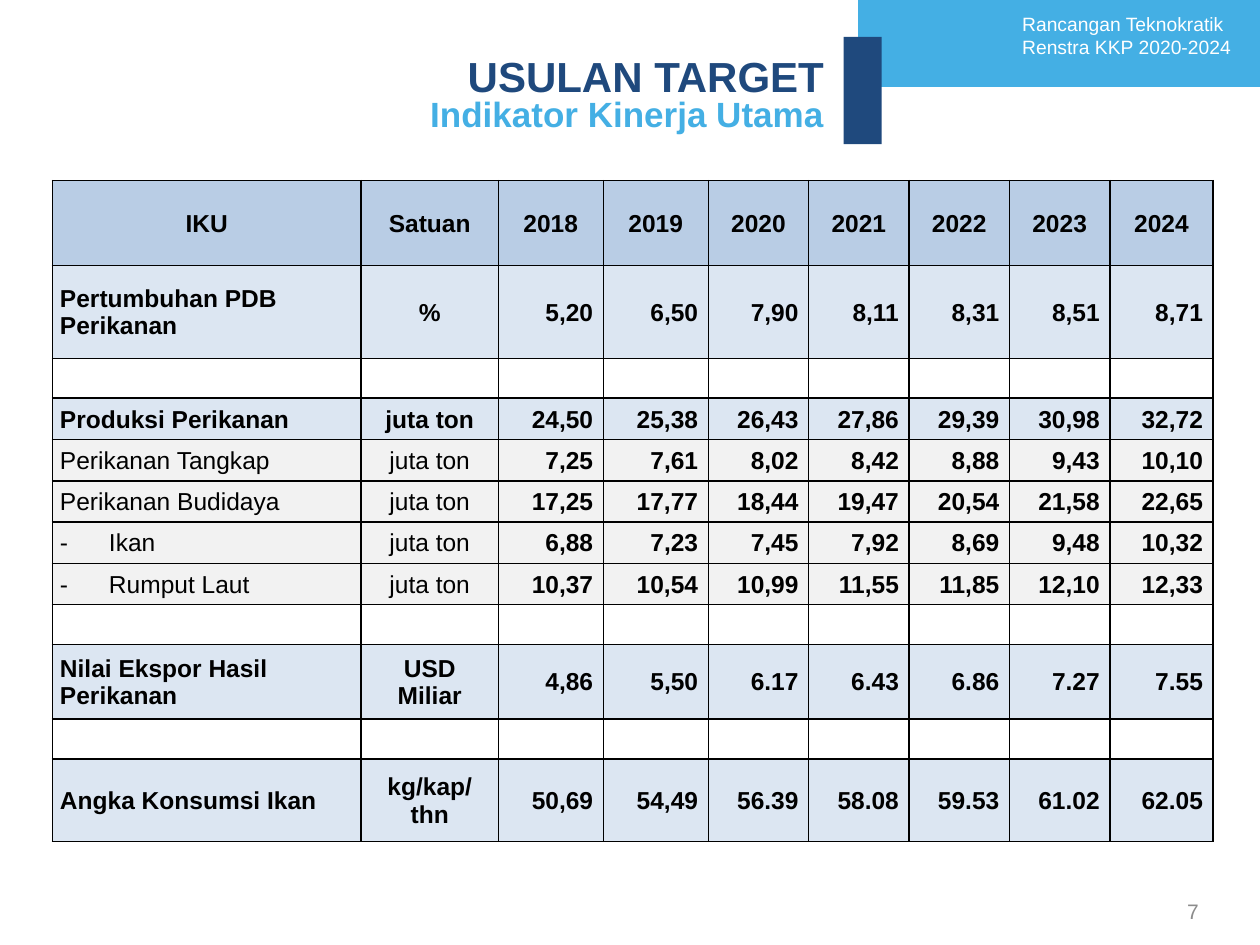
from lxml import etree
from pptx import Presentation
from pptx.dml.color import RGBColor
from pptx.enum import shapes, text
from pptx.oxml import ns
from pptx.util import Pt

COLORS = {
    "navy": "1F497D",
    "sky": "44AFE4",
    "header": "B9CDE5",
    "group": "DCE6F2",
    "detail": "F2F2F2",
    "white": "FFFFFF",
    "black": "000000",
    "gray": "8C8C8C",
}
LEFT, CENTER, RIGHT = text.PP_ALIGN.LEFT, text.PP_ALIGN.CENTER, text.PP_ALIGN.RIGHT
HANGING_INDENT = 28

COLUMN_WIDTHS = [176.4, 78.4, 60, 60] + [57.4] * 4 + [59]
HEADER = ["IKU", "Satuan"] + [str(year) for year in range(2018, 2025)]

# Each row: kind, height, indicator, unit, yearly values
ROWS = [
    ("header", 48.6, *HEADER),
    ("group", 53.1, "Pertumbuhan PDB Perikanan", "%",
     "5,20", "6,50", "7,90", "8,11", "8,31", "8,51", "8,71"),
    ("white", 22.2),
    ("group", 23.6, "Produksi Perikanan", "juta ton",
     "24,50", "25,38", "26,43", "27,86", "29,39", "30,98", "32,72"),
    ("detail", 23.6, "Perikanan Tangkap", "juta ton",
     "7,25", "7,61", "8,02", "8,42", "8,88", "9,43", "10,10"),
    ("detail", 23.6, "Perikanan Budidaya", "juta ton",
     "17,25", "17,77", "18,44", "19,47", "20,54", "21,58", "22,65"),
    ("detail", 23.6, "-\tIkan", "juta ton",
     "6,88", "7,23", "7,45", "7,92", "8,69", "9,48", "10,32"),
    ("detail", 23.6, "-\tRumput Laut", "juta ton",
     "10,37", "10,54", "10,99", "11,55", "11,85", "12,10", "12,33"),
    ("white", 22.2),
    ("group", 42.8, "Nilai Ekspor Hasil Perikanan", "USD Miliar",
     "4,86", "5,50", "6.17", "6.43", "6.86", "7.27", "7.55"),
    ("white", 22.2),
    ("group", 47.2, "Angka Konsumsi Ikan", "kg/kap/ thn",
     "50,69", "54,49", "56.39", "58.08", "59.53", "61.02", "62.05"),
]


def write(paragraph, content, *, size, color="black", bold=False, align=LEFT,
          spacing=None, font="Arial"):
    """Add one formatted run to a paragraph."""
    paragraph.alignment = align
    if spacing:
        paragraph.line_spacing = spacing
    run = paragraph.add_run()
    run.text = content
    run.font.name, run.font.size, run.font.bold = font, Pt(size), bold
    run.font.color.rgb = RGBColor.from_string(COLORS[color])


class SlideBuilder:
    def __init__(self, slide, text_size=14, border_width=1):
        self.slide = slide
        self.text_size = text_size
        self.border_width = border_width

    def title(self, box, lines):
        shape = self.slide.shapes.title
        shape.left, shape.top, shape.width, shape.height = map(Pt, box)
        frame = shape.text_frame
        frame.auto_size = text.MSO_AUTO_SIZE.NONE
        frame.vertical_anchor = text.MSO_ANCHOR.TOP
        for index, (content, style) in enumerate(lines):
            paragraph = frame.add_paragraph() if index else frame.paragraphs[0]
            write(paragraph, content, bold=True, align=RIGHT, spacing=0.8, **style)

    def rectangle(self, box, color):
        shape = self.slide.shapes.add_shape(
            shapes.MSO_SHAPE.RECTANGLE, *map(Pt, box))
        shape.shadow.inherit = False
        shape.fill.solid()
        shape.fill.fore_color.rgb = RGBColor.from_string(COLORS[color])
        shape.line.fill.background()

    def text_box(self, box, lines, anchor=text.MSO_ANCHOR.TOP, wrap=True, **style):
        frame = self.slide.shapes.add_textbox(*map(Pt, box)).text_frame
        frame.word_wrap = wrap
        frame.vertical_anchor = anchor
        for index, content in enumerate(lines):
            paragraph = frame.add_paragraph() if index else frame.paragraphs[0]
            write(paragraph, content, **style)

    def table(self, left, top, widths, rows):
        heights = [row[1] for row in rows]
        table = self.slide.shapes.add_table(
            len(rows), len(widths), Pt(left), Pt(top),
            Pt(sum(widths)), Pt(sum(heights))).table
        for column, width in zip(table.columns, widths):
            column.width = Pt(width)
        for row_index, (kind, height, *values) in enumerate(rows):
            table.rows[row_index].height = Pt(height)
            for column_index in range(len(widths)):
                value = values[column_index] if values else ""
                self.cell(table.cell(row_index, column_index), value, kind, column_index)

    def cell(self, cell, value, kind, column_index):
        is_value = kind != "header" and column_index > 1
        cell.margin_left = Pt(4.3)
        cell.margin_right = Pt(5.8 if is_value else 4.3)
        cell.margin_top, cell.margin_bottom = Pt(0.7), Pt(0)
        cell.vertical_anchor = text.MSO_ANCHOR.MIDDLE
        self.borders(cell)
        cell.fill.solid()
        cell.fill.fore_color.rgb = RGBColor.from_string(COLORS[kind])
        if not value:
            return
        if is_value:
            align = RIGHT
        else:
            align = LEFT if column_index == 0 and kind != "header" else CENTER
        paragraph = cell.text_frame.paragraphs[0]
        write(paragraph, value, size=self.text_size, align=align,
              bold=is_value or kind != "detail")
        if "\t" in value:
            properties = paragraph._p.get_or_add_pPr()
            properties.set("marL", str(Pt(HANGING_INDENT)))
            properties.set("indent", str(-Pt(HANGING_INDENT)))

    def borders(self, cell):
        properties = cell._tc.get_or_add_tcPr()
        for side in ("lnL", "lnR", "lnT", "lnB"):
            line = etree.SubElement(properties, ns.qn(f"a:{side}"),
                                    w=str(Pt(self.border_width)))
            fill = etree.SubElement(line, ns.qn("a:solidFill"))
            etree.SubElement(fill, ns.qn("a:srgbClr"), val=COLORS["black"])


def main():
    presentation = Presentation()
    presentation.slide_width, presentation.slide_height = Pt(720), Pt(540)
    title_only = presentation.slide_layouts[5]
    builder = SlideBuilder(presentation.slides.add_slide(title_only))

    # Indicator table
    builder.table(30, 103.2, COLUMN_WIDTHS, ROWS)

    # Title
    builder.title((57, 31, 421, 50), [
        ("USULAN TARGET", {"size": 24, "color": "navy"}),
        ("Indikator Kinerja Utama", {"size": 20, "color": "sky"}),
    ])

    # Corner banner
    builder.rectangle((490.3, 0, 229.7, 49.7), "sky")
    builder.rectangle((482, 21, 21.8, 61.3), "navy")
    builder.text_box((577, 3.6, 135, 34),
                     ["Rancangan Teknokratik", "Renstra KKP 2020-2024"],
                     wrap=False, size=11, color="white")

    # Slide number
    builder.text_box((524, 506, 168, 29), ["7"], anchor=text.MSO_ANCHOR.MIDDLE,
                     size=12, color="gray", align=RIGHT)

    presentation.save("out.pptx")


if __name__ == "__main__":
    main()
